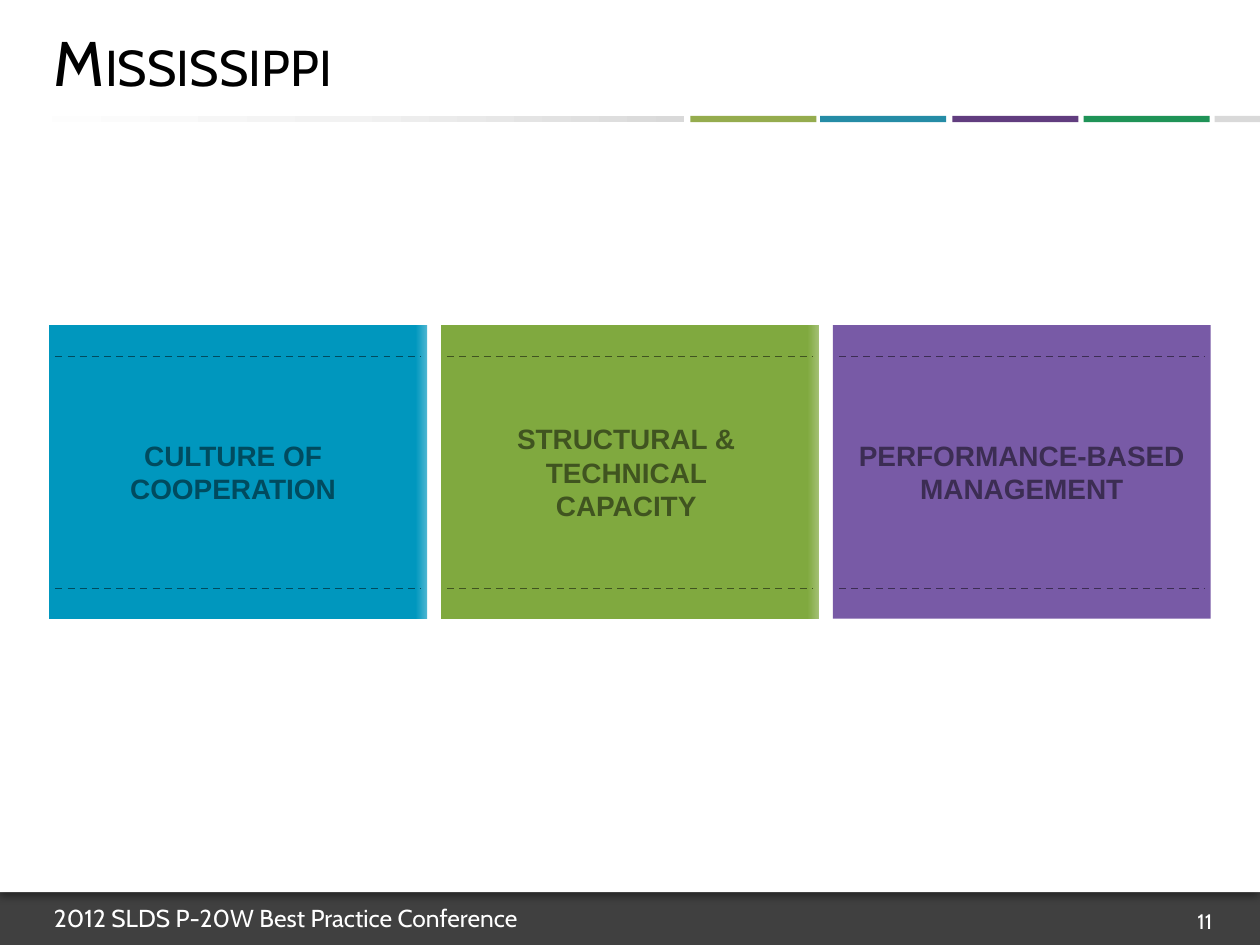
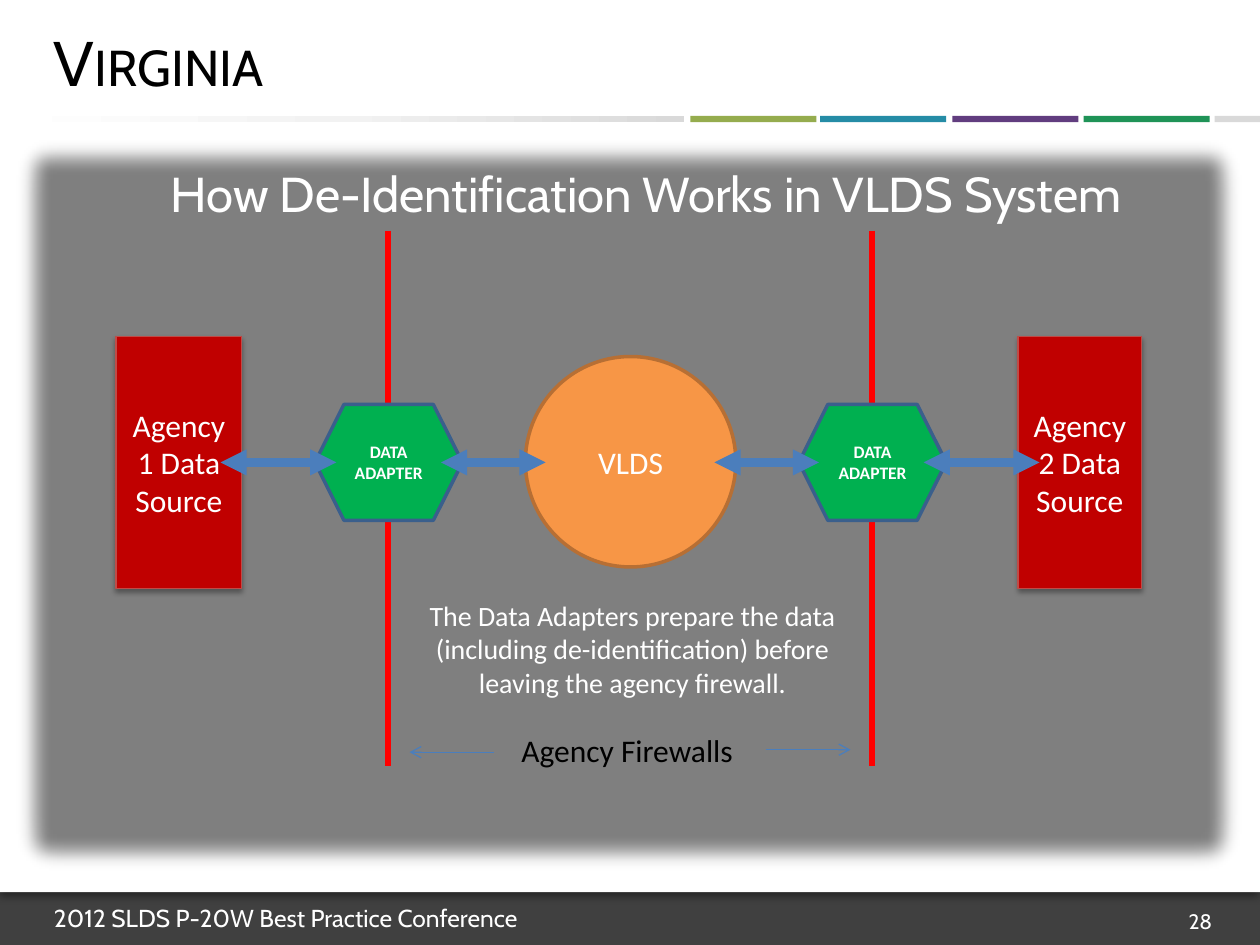
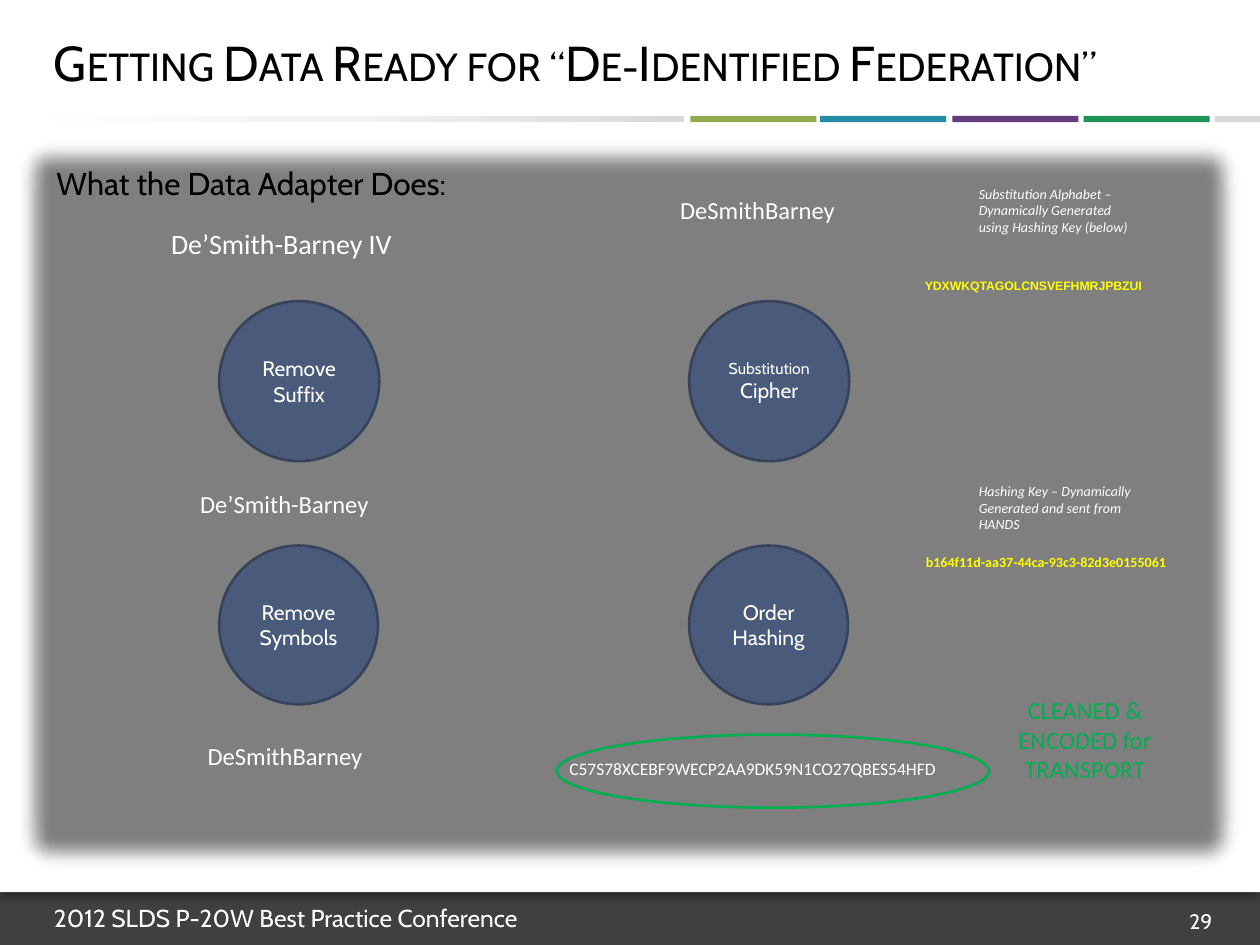
import pptx
import pptx.util
import pptx.dml.color
import pptx.enum.dml
import pptx.enum.shapes
import pptx.enum.text
import pptx.oxml
import pptx.oxml.ns
from dataclasses import dataclass

Inches = pptx.util.Inches
Pt = pptx.util.Pt
SHAPES = pptx.enum.shapes.MSO_SHAPE
ALIGN = pptx.enum.text.PP_ALIGN
ANCHOR = pptx.enum.text.MSO_ANCHOR
DASH = pptx.enum.dml.MSO_LINE.DASH


@dataclass(frozen=True)
class Theme:
    heading: str = "Cabin"
    body: str = "Calibri"
    label: str = "Arial"
    white: str = "FFFFFF"
    black: str = "000000"
    footer: str = "404040"
    light_gray: str = "D9D9D9"
    pale_gray: str = "F2F2F2"
    agency: str = "C00000"
    agency_edge: str = "BF4C48"
    firewall: str = "FF0000"
    hub: str = "F79646"
    hub_edge: str = "B76F34"
    green: str = "00B050"
    adapter_edge: str = "3A5F8C"
    arrow: str = "4B7EBC"
    step: str = "4A5A7A"
    step_edge: str = "37435A"
    key: str = "FFFF00"
    title_size: int = 36
    long_title_size: int = 28
    large: int = 18
    medium: int = 16
    small: int = 14
    step_size: int = 12
    note: int = 8


THEME = Theme()

FOOTER = "2012 SLDS P-20W Best Practice Conference"
# left, width, colour
TITLE_BARS = [(5.48, 1, "8AA33B"), (6.51, 1, "0D809D"), (7.56, 1, "502871"),
              (8.6, 1, "068744"), (9.64, 0.36, THEME.light_gray)]

# text, fill, dark accent, fading right edge, text inset left and width
PILLARS = [
    ("CULTURE OF COOPERATION", "0097BE", "004B5F", "4DB6D1", 0.17, 2.58),
    ("STRUCTURAL & TECHNICAL CAPACITY", "80A93F", "405420", "A3C074", 0.18, 2.58),
    ("PERFORMANCE-BASED MANAGEMENT", "785AA6", "3C2D53", None, 0, 3),
]

AGENCIES = [("Agency 1 Data Source", 0.92, 1), ("Agency 2 Data Source", 8.08, 0.98)]
FIREWALLS = [3.08, 6.92]
DATA_FLOWS = [(1.75, 2.67), (3.5, 4.33), (5.67, 6.5), (7.33, 8.25)]
ADAPTER_NOTE = ("The Data Adapters prepare the data (including de-identification) "
                "before leaving the agency firewall.")

# lines with their sizes, left, top, diameter
STEPS = [
    ([("Remove Suffix", 12)], 1.74, 2.39, 1.27),
    ([("Remove Symbols", 12)], 1.74, 4.33, 1.26),
    ([("Substitution", 9), ("Cipher", 12)], 5.47, 2.39, 1.27),
    ([("Order", 12), ("Hashing", 12)], 5.47, 4.33, 1.26),
]
# text, box, size, wraps
NAMES = [
    ("De’Smith-Barney IV", (1.26, 1.75, 2.04, 0.37), THEME.medium, False),
    ("De’Smith-Barney", (1.49, 3.83, 1.61, 0.34), THEME.small, False),
    ("DeSmithBarney", (1.55, 5.83, 1.5, 0.34), THEME.small, False),
    ("DeSmithBarney", (5.3, 1.5, 1.5, 0.34), THEME.small, False),
    ("C57S78XCEBF9WECP2AA9DK59N1CO27QBES54HFD", (4.42, 5.97, 3.58, 0.28), 10, True),
]
SIDE_NOTES = [
    ("Substitution Alphabet – Dynamically Generated using Hashing Key (below)", 1.42),
    ("Hashing Key – Dynamically Generated and sent from HANDS", 3.78),
]


def rgb(color):
    return pptx.dml.color.RGBColor.from_string(color)


def drawing_element(tag, content="", **attributes):
    values = " ".join(f'{name}="{value}"' for name, value in attributes.items())
    namespace = pptx.oxml.ns.nsdecls("a")
    return pptx.oxml.parse_xml(f"<a:{tag} {namespace} {values}>{content}</a:{tag}>")


def color_xml(color, opacity=100):
    return f'<a:srgbClr val="{color}"><a:alpha val="{opacity * 1000}"/></a:srgbClr>'


def set_effect(shape, content=""):
    properties = shape._element.spPr
    for effects in properties.findall(pptx.oxml.ns.qn("a:effectLst")):
        properties.remove(effects)
    properties.append(drawing_element("effectLst", content))


def drop_shadow(shape, opacity, blur, distance):
    set_effect(shape, f'<a:outerShdw blurRad="{Pt(blur)}" dist="{Pt(distance)}" '
                      f'dir="5400000" rotWithShape="0">'
                      f'{color_xml(THEME.black, opacity)}</a:outerShdw>')


def set_gradient(shape, stops, angle):
    shape.fill.background()
    properties = shape._element.spPr
    content = "".join(f'<a:gs pos="{position * 1000}">{color_xml(color)}</a:gs>'
                      for position, color in stops)
    gradient = drawing_element(
        "gradFill", f'<a:gsLst>{content}</a:gsLst><a:lin ang="{angle * 60000}" scaled="0"/>')
    properties.replace(properties.find(pptx.oxml.ns.qn("a:noFill")), gradient)


def add_shape(slide, kind, box, fill=None, opacity=100, line=None, width=1):
    shape = slide.shapes.add_shape(kind, *map(Inches, box))
    shape.shadow.inherit = False
    if fill:
        shape.fill.solid()
        shape.fill.fore_color.rgb = rgb(fill)
        if opacity < 100:
            color = shape.fill._xPr.find(".//" + pptx.oxml.ns.qn("a:srgbClr"))
            color.append(drawing_element("alpha", val=opacity * 1000))
    else:
        shape.fill.background()
    if line:
        shape.line.color.rgb = rgb(line)
        shape.line.width = Pt(width)
    else:
        shape.line.fill.background()
    return shape


def write(shape, lines, size=None, color=THEME.white, font=THEME.body,
          align=ALIGN.LEFT, anchor=ANCHOR.TOP, wrap=True, small_caps=False, **formats):
    """Fill a shape with paragraphs; a line is a text or a (text, size) pair."""
    frame = shape.text_frame
    for name, value in dict(word_wrap=wrap, vertical_anchor=anchor).items():
        setattr(frame, name, value)
    for index, line in enumerate([lines] if isinstance(lines, str) else lines):
        text, line_size = (line, size) if isinstance(line, str) else line
        paragraph = frame.paragraphs[0] if index == 0 else frame.add_paragraph()
        paragraph.alignment = align
        run = paragraph.add_run()
        run.text = text
        run.font.color.rgb = rgb(color)
        for name, value in dict(name=font, size=Pt(line_size), **formats).items():
            setattr(run.font, name, value)
        if small_caps:
            run._r.get_or_add_rPr().set("cap", "small")


def add_text(slide, box, lines, **formats):
    shape = slide.shapes.add_textbox(*map(Inches, box))
    write(shape, lines, **formats)
    return shape


def write_centered(shape, lines, **formats):
    write(shape, lines, align=ALIGN.CENTER, anchor=ANCHOR.MIDDLE, **formats)


def add_line(slide, start, end, color, width, dash=None, head=None, tail=None):
    connector = slide.shapes.add_connector(
        pptx.enum.shapes.MSO_CONNECTOR.STRAIGHT, *map(Inches, (*start, *end)))
    connector.line.color.rgb = rgb(color)
    connector.line.width = Pt(width)
    if dash:
        connector.line.dash_style = dash
    for tag, arrow in (("headEnd", head), ("tailEnd", tail)):
        if arrow:
            connector.line._get_or_add_ln().append(drawing_element(tag, type=arrow))
    set_effect(connector)


def add_base_slide(presentation, title, number, title_size=THEME.title_size):
    slide = presentation.slides.add_slide(presentation.slide_layouts[6])
    add_shape(slide, SHAPES.RECTANGLE, (0, 0, 10, 7.5), THEME.footer)
    page = add_shape(slide, SHAPES.RECTANGLE, (0, 0, 10, 7.08), THEME.white)
    drop_shadow(page, 40, 4, 3)
    for left, width, color in TITLE_BARS:
        add_shape(slide, SHAPES.RECTANGLE, (left, 0.92, width, 0.05), color)
    add_shape(slide, SHAPES.RECTANGLE, (5.46, 0.83, 4.17, 0.25), THEME.white, opacity=10)
    fading_bar = add_shape(slide, SHAPES.RECTANGLE, (0.03, 0.92, 5.4, 0.05))
    set_gradient(fading_bar, [(0, THEME.light_gray), (50, THEME.pale_gray),
                              (100, THEME.white)], 180)
    add_text(slide, (0.33, 7.12, 9.33, 0.42), FOOTER, size=THEME.small, font=THEME.heading)
    heading = add_text(slide, (0.33, 0.06, 9.33, 0.86), title, size=title_size,
                       color=THEME.black, font=THEME.heading, anchor=ANCHOR.MIDDLE,
                       small_caps=True)
    heading.text_frame.margin_top = heading.text_frame.margin_bottom = 0
    add_text(slide, (7.39, 7.11, 2.33, 0.4), str(number), size=THEME.step_size,
             font=THEME.heading, align=ALIGN.RIGHT, anchor=ANCHOR.MIDDLE)
    return slide


def add_soft_panel(slide):
    panel = add_shape(slide, SHAPES.RECTANGLE, (0.08, 1.05, 9.83, 5.92), THEME.black,
                      opacity=50, line=THEME.black, width=2)
    set_effect(panel, f'<a:softEdge rad="{Pt(12.5)}"/>')


def build_pillars(presentation):
    slide = add_base_slide(presentation, "Mississippi", 11)
    top, height = 2.58, 2.33
    for index, (text, fill, dark, edge, inset, text_width) in enumerate(PILLARS):
        left = 0.39 + index * 3.11
        pillar = add_shape(slide, SHAPES.RECTANGLE, (left, top, 3, height), fill)
        if edge:
            set_gradient(pillar, [(0, fill), (97, fill), (100, edge)], 0)
        for y in (top + 0.25, top + height - 0.24):
            add_line(slide, (left + 0.05, y), (left + 2.95, y), dark, 1, dash=DASH.DASH)
        add_text(slide, (left + inset, 3.29, text_width, 0.91), text, size=THEME.medium,
                 color=dark, font=THEME.label, bold=True, align=ALIGN.CENTER,
                 anchor=ANCHOR.MIDDLE)


def build_deidentification(presentation):
    slide = add_base_slide(presentation, "Virginia", 28)
    add_soft_panel(slide)
    add_text(slide, (0.46, 1.25, 9.33, 0.6), "How De-Identification Works in VLDS System",
             size=28, font=THEME.heading, align=ALIGN.CENTER)
    for text, left, width in AGENCIES:
        agency = add_shape(slide, SHAPES.RECTANGLE, (left, 2.67, width, 2), THEME.agency,
                           line=THEME.agency_edge, width=0.75)
        drop_shadow(agency, 35, 3.1, 1.8)
        write_centered(agency, text, size=THEME.large)
    for x in FIREWALLS:
        add_line(slide, (x, 1.83), (x, 6.08), THEME.firewall, 3)
        adapter = add_shape(slide, SHAPES.HEXAGON, (x - 0.58, 3.21, 1.17, 0.92),
                            THEME.green, line=THEME.adapter_edge, width=2)
        write_centered(adapter, ["DATA", "ADAPTER"], size=10, bold=True)
    hub = add_shape(slide, SHAPES.OVAL, (4.17, 2.83, 1.67, 1.67), THEME.hub,
                    line=THEME.hub_edge, width=2)
    write_centered(hub, "VLDS", size=THEME.large)
    for start, end in DATA_FLOWS:
        add_line(slide, (start, 3.67), (end, 3.67), THEME.arrow, 5,
                 head="triangle", tail="triangle")
    add_text(slide, (4.04, 5.75, 1.96, 0.4), "Agency Firewalls", size=THEME.large,
             color=THEME.black, wrap=False)
    add_line(slide, (6.08, 5.95), (6.75, 5.95), THEME.arrow, 0.75, tail="arrow")
    add_line(slide, (3.25, 5.97), (3.92, 5.97), THEME.arrow, 0.75, head="arrow")
    add_text(slide, (3.27, 4.7, 3.5, 0.91), ADAPTER_NOTE, size=THEME.medium,
             align=ALIGN.CENTER)


def build_adapter_steps(presentation):
    slide = add_base_slide(presentation, "Getting Data Ready for “De-Identified Federation”",
                           29, THEME.long_title_size)
    add_soft_panel(slide)
    add_text(slide, (0.35, 1.25, 9.33, 0.45), "What the Data Adapter Does:",
             size=THEME.large, color=THEME.black, font=THEME.heading)
    for lines, left, top, diameter in STEPS:
        step = add_shape(slide, SHAPES.OVAL, (left, top, diameter, diameter), THEME.step,
                         line=THEME.step_edge, width=1.5)
        write_centered(step, lines, font=THEME.heading)
    for text, box, size, wrap in NAMES:
        add_text(slide, box, text, size=size, wrap=wrap)
    for text, top in SIDE_NOTES:
        add_text(slide, (7.67, top, 1.5, 0.5), text, size=THEME.note, italic=True)
    alphabet = add_text(slide, (7.34, 2.14, 2, 0.25), "YDXWKQTAGOLCNSVEFHMRJPBZUI", size=7,
                        color=THEME.key, font=THEME.label, bold=True, anchor=ANCHOR.MIDDLE)
    alphabet.text_frame.margin_left = alphabet.text_frame.margin_right = 0
    add_text(slide, (7.25, 4.34, 2.16, 0.24), "b164f11d-aa37-44ca-93c3-82d3e0155061",
             size=THEME.note, color=THEME.key, bold=True, wrap=False)
    add_text(slide, (7.87, 5.47, 1.48, 0.81), "CLEANED & ENCODED for TRANSPORT",
             size=THEME.small, color=THEME.green, align=ALIGN.CENTER)
    add_shape(slide, SHAPES.OVAL, (4.42, 5.83, 3.43, 0.58), line=THEME.green, width=1.5)


def main():
    presentation = pptx.Presentation()
    presentation.slide_width = Inches(10)
    presentation.slide_height = Inches(7.5)
    build_pillars(presentation)
    build_deidentification(presentation)
    build_adapter_steps(presentation)
    presentation.save("out.pptx")


if __name__ == "__main__":
    main()
